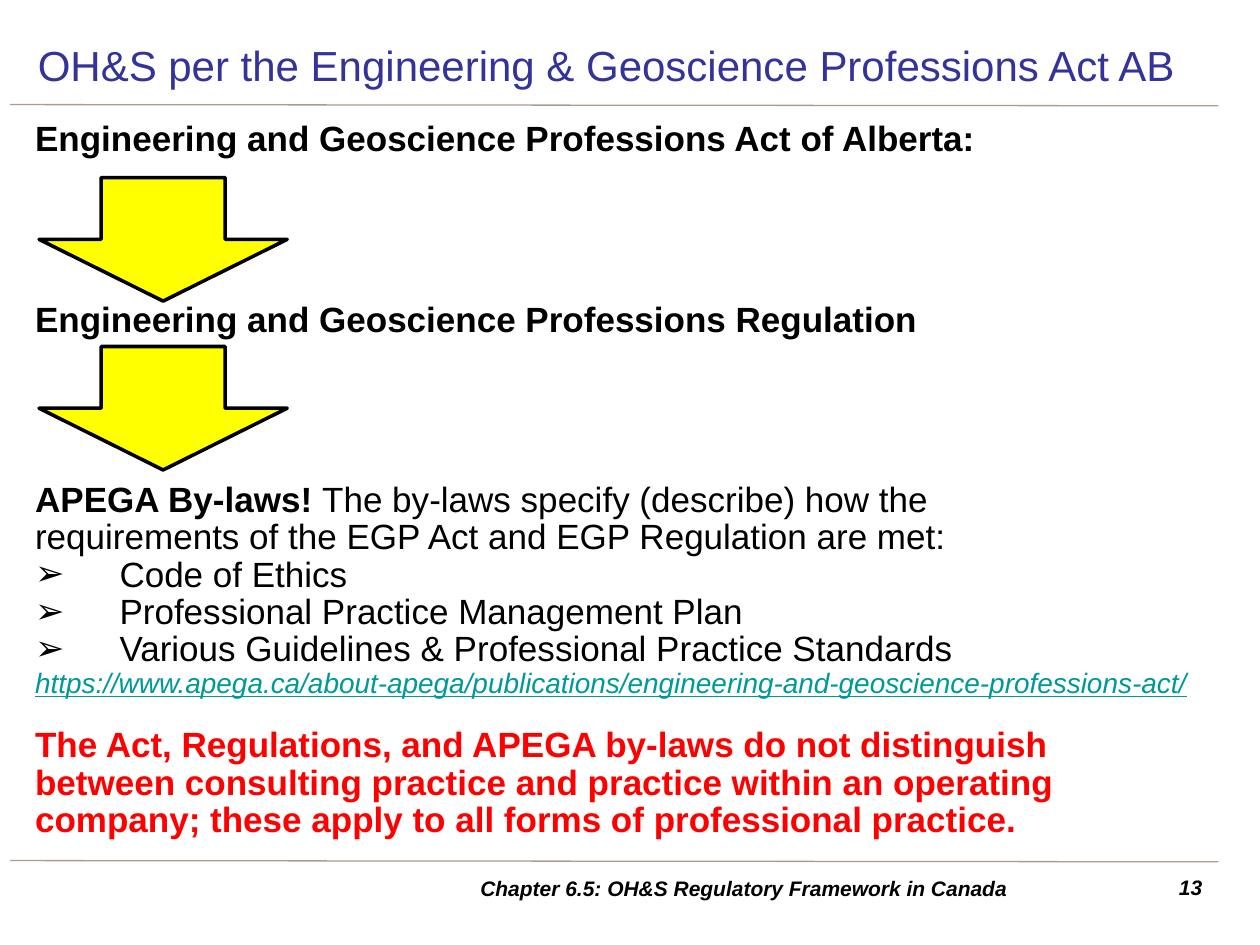
from lxml import etree
from pptx import Presentation
from pptx.dml.color import RGBColor
from pptx.enum.shapes import MSO_CONNECTOR, MSO_SHAPE
from pptx.enum.text import MSO_ANCHOR, PP_ALIGN
from pptx.oxml.ns import qn
from pptx.util import Inches, Pt

LINE = MSO_CONNECTOR.STRAIGHT
ARROW = MSO_SHAPE.DOWN_ARROW
TOP, MIDDLE = MSO_ANCHOR.TOP, MSO_ANCHOR.MIDDLE
LEFT, CENTER, RIGHT = PP_ALIGN.LEFT, PP_ALIGN.CENTER, PP_ALIGN.RIGHT
BLACK = RGBColor(0, 0, 0)
WHITE = RGBColor(255, 255, 255)
RED = RGBColor(255, 0, 0)
YELLOW = RGBColor(255, 255, 0)
TEAL = RGBColor(0, 0x99, 0x99)
NAVY = RGBColor(0x33, 0x33, 0x99)
TAUPE = RGBColor(0xAA, 0x9C, 0x8F)
ARROW_GAP = 81.6
LINK = "https://www.apega.ca/about-apega/publications/engineering-and-geoscience-professions-act/"
POINTS = [
    "Code of Ethics",
    "Professional Practice Management Plan",
    "Various Guidelines & Professional Practice Standards",
]


def style(font, size, color=BLACK, bold=False, italic=False, line=False):
    font.name = "Arial"
    font.size = Pt(size)
    font.color.rgb = color
    font.bold = bold
    font.italic = italic
    font.underline = line


def add_title(slide, text):
    title = slide.shapes.title
    title.left, title.top = Inches(0.2), Inches(0.24)
    title.width, title.height = Inches(9.45), Inches(0.55)
    title.fill.solid()
    title.fill.fore_color.rgb = WHITE
    tint = title.fill._xPr.find(qn("a:solidFill"))[0]
    etree.SubElement(tint, qn("a:alpha"), val="70000")
    frame = title.text_frame
    frame.text = text
    frame.vertical_anchor = MIDDLE
    frame.paragraphs[0].alignment = LEFT
    style(frame.paragraphs[0].runs[0].font, 24, NAVY)


def add_rule(slide, top):
    rule = slide.shapes.add_connector(
        LINE, Inches(0.08), Inches(top), Inches(9.67), Inches(top + 0.01))
    rule.line.color.rgb = TAUPE
    rule.line.width = Pt(0.75)
    etree.SubElement(rule._element.spPr, qn("a:effectLst"))


def add_arrow(slide, top):
    arrow = slide.shapes.add_shape(
        ARROW, Inches(0.31), Inches(top), Inches(1.97), Inches(0.98))
    arrow.shadow.inherit = False
    arrow.fill.solid()
    arrow.fill.fore_color.rgb = YELLOW
    arrow.line.color.rgb = BLACK
    arrow.line.width = Pt(2)


def add_box(slide, left, top, width, height):
    box = slide.shapes.add_textbox(
        Inches(left), Inches(top), Inches(width), Inches(height))
    box.text_frame.word_wrap = True
    return box.text_frame


def add_note(slide, text, left, width, align, anchor):
    frame = add_box(slide, left, 6.89, width, 0.31)
    frame.text = text
    frame.vertical_anchor = anchor
    frame.paragraphs[0].alignment = align
    style(frame.paragraphs[0].runs[0].font, 12, bold=True, italic=True)


def add_para(frame, text, size=20, gap=0, **look):
    para = frame.paragraphs[0]
    if para.runs:
        para = frame.add_paragraph()
    para.text = text
    para.line_spacing = 0.89
    para.space_before = Pt(gap)
    for run in para.runs:
        style(run.font, size, **look)
    return para


def add_bullet(para):
    props = para._p.get_or_add_pPr()
    props.set("marL", str(Inches(0.67)))
    props.set("indent", str(-Inches(0.67)))
    color = etree.SubElement(props, qn("a:buClr"))
    etree.SubElement(color, qn("a:srgbClr"), val=str(BLACK))
    etree.SubElement(props, qn("a:buFont"), typeface="Arial")
    etree.SubElement(props, qn("a:buChar"), char="➢")


def add_body(slide):
    frame = add_box(slide, 0.18, 0.92, 9.45, 5.83)
    add_para(frame, "Engineering and Geoscience Professions Act of Alberta:", bold=True)
    add_para(frame, "Engineering and Geoscience Professions Regulation",
             gap=ARROW_GAP, bold=True)
    laws = add_para(frame, "APEGA By-laws! ", gap=ARROW_GAP, bold=True)
    first = laws.add_run()
    first.text = "The by-laws specify (describe) how the "
    laws.add_line_break()
    second = laws.add_run()
    second.text = "requirements of the EGP Act and EGP Regulation are met:"
    for run in (first, second):
        style(run.font, 20)
    for point in POINTS:
        add_bullet(add_para(frame, point))
    add_para(frame, LINK, 16, color=TEAL, italic=True, line=True)
    add_para(frame, "The Act, Regulations, and APEGA by-laws do not distinguish \v"
             "between consulting practice and practice within an operating company; "
             "these apply to all forms of professional practice.",
             gap=16.4, color=RED, bold=True)


def main():
    deck = Presentation()
    deck.slide_width, deck.slide_height = Inches(10), Inches(7.5)
    slide = deck.slides.add_slide(deck.slide_layouts[5])
    for top in (0.83, 6.83):
        add_rule(slide, top)
    add_body(slide)
    add_title(slide, "OH&S per the Engineering & Geoscience Professions Act AB")
    add_note(slide, "13", 9.06, 0.58, RIGHT, TOP)
    add_note(slide, "Chapter 6.5: OH&S Regulatory Framework in Canada",
             2.95, 5.91, CENTER, MIDDLE)
    for top in (1.41, 2.75):
        add_arrow(slide, top)
    deck.save("out.pptx")


if __name__ == "__main__":
    main()
